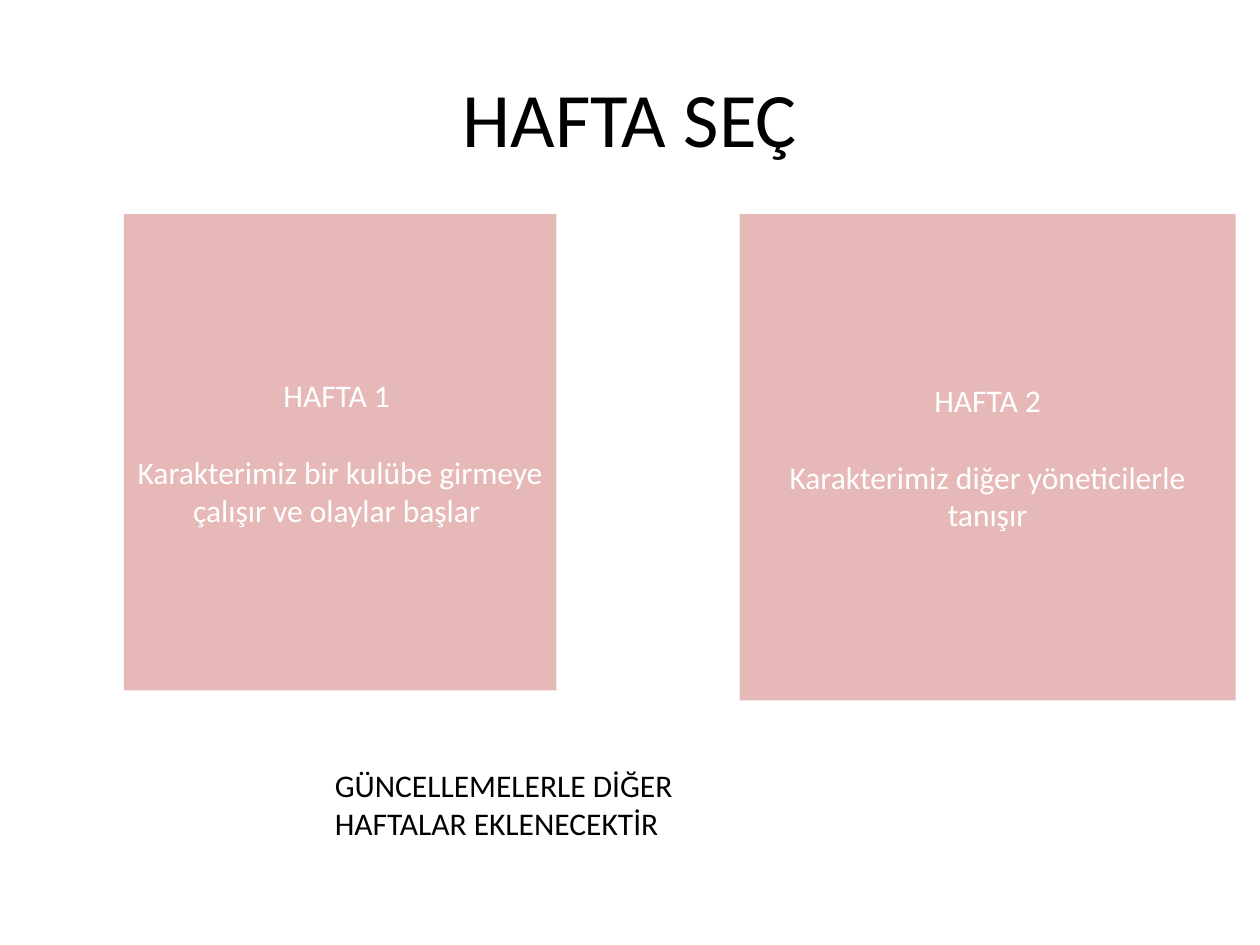
from pptx import Presentation
from pptx.dml.color import RGBColor
from pptx.enum.shapes import MSO_SHAPE
from pptx.enum.text import MSO_ANCHOR, PP_ALIGN
from pptx.util import Cm, Pt


def color(code):
    return RGBColor.from_string(code)


def add_span(para, text, size, code):
    span = para.add_run()
    span.text = text
    span.font.name = "Calibri"
    span.font.size = Pt(size)
    span.font.color.rgb = color(code)


deck = Presentation()
deck.slide_width, deck.slide_height = Cm(25.4), Cm(19.05)
page = deck.slides.add_slide(deck.slide_layouts[6])

# Heading and note: left, top, width, height, text, size, alignment, anchor
labels = [
    (1.27, 0.76, 22.86, 3.18, "HAFTA SEÇ", 44, PP_ALIGN.CENTER, MSO_ANCHOR.MIDDLE),
    (6.5, 15.32, 9.44, 1.8, "GÜNCELLEMELERLE DİĞER HAFTALAR EKLENECEKTİR", 18,
     PP_ALIGN.LEFT, MSO_ANCHOR.TOP),
]
for left, top, width, height, text, size, align, anchor in labels:
    box = page.shapes.add_textbox(Cm(left), Cm(top), Cm(width), Cm(height))
    box.text_frame.word_wrap = True
    box.text_frame.vertical_anchor = anchor
    para = box.text_frame.paragraphs[0]
    para.alignment = align
    add_span(para, text, size, "000000")

# Week cards: left, width, height, heading, story
weeks = [
    (14.91, 10.0, 9.8, "HAFTA 2", "Karakterimiz diğer yöneticilerle tanışır"),
    (2.5, 8.72, 9.6, "HAFTA 1 ",
     "Karakterimiz bir kulübe girmeye çalışır ve olaylar başlar "),
]
for left, width, height, heading, story in weeks:
    card = page.shapes.add_shape(
        MSO_SHAPE.RECTANGLE, Cm(left), Cm(4.32), Cm(width), Cm(height))
    card.shadow.inherit = False
    card.fill.solid()
    card.fill.fore_color.rgb = color("E6B9B8")
    card.line.fill.background()
    frame = card.text_frame
    frame.word_wrap = True
    frame.vertical_anchor = MSO_ANCHOR.MIDDLE
    title, body = frame.paragraphs[0], frame.add_paragraph()
    body.space_before = Pt(22)
    for para, text in ((title, heading), (body, story)):
        para.alignment = PP_ALIGN.CENTER
        add_span(para, text, 18, "FFFFFF")

deck.save("out.pptx")
